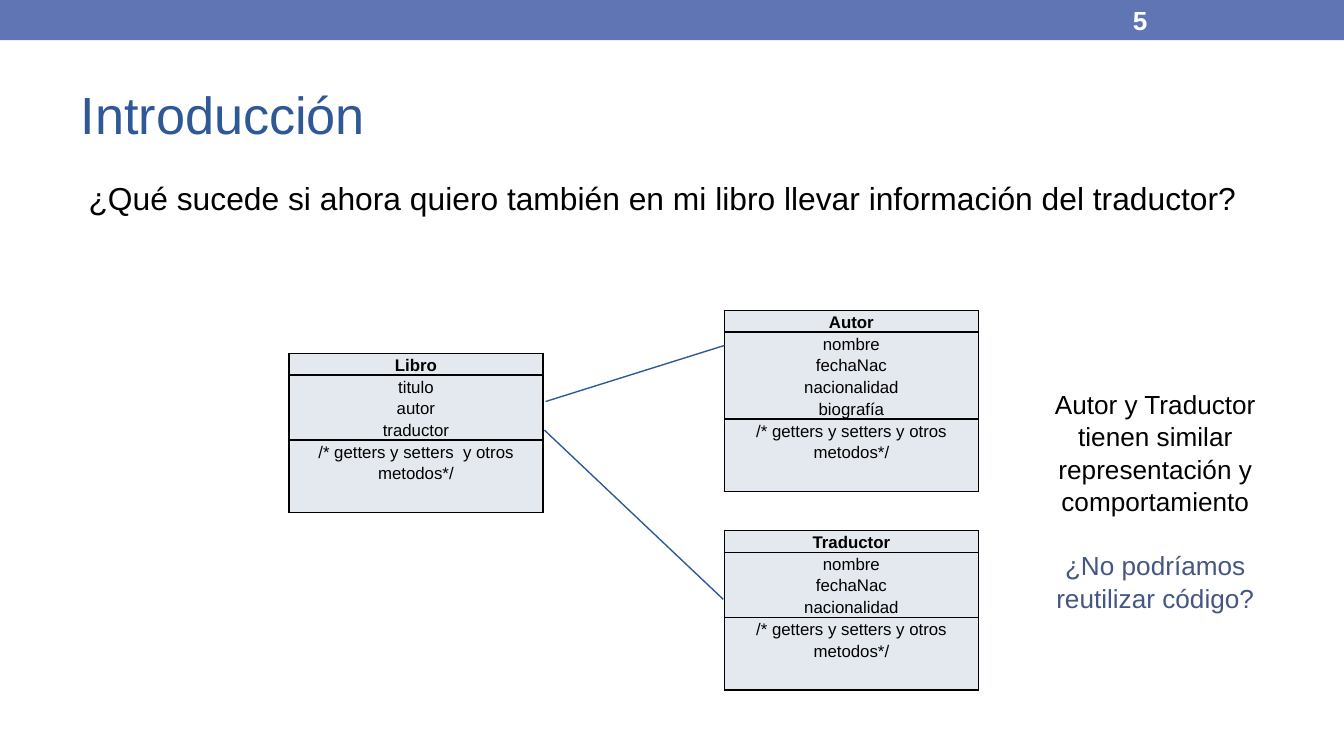
import dataclasses
import typing

import pptx
import pptx.dml.color
import pptx.enum.shapes
import pptx.enum.text
import pptx.oxml
import pptx.oxml.ns
import pptx.util

Cm = pptx.util.Cm
Pt = pptx.util.Pt
ALIGN = pptx.enum.text.PP_ALIGN
ANCHOR = pptx.enum.text.MSO_ANCHOR

COLORS = {
    "band": "6076B4",
    "accent": "2F5897",
    "question": "465683",
    "cell": "E4E9EF",
    "ink": "000000",
    "light": "FFFFFF",
}
CLASS_WIDTH = 4.8
HEADER_HEIGHT = 0.41
LINE_HEIGHT = 0.41
METHODS_HEIGHT = 1.37


@dataclasses.dataclass
class ClassBox:
    name: str
    attributes: list[str]
    methods: str
    left: float
    top: float


@dataclasses.dataclass
class Association:
    start: tuple[float, float]
    end: tuple[float, float]


@dataclasses.dataclass
class Line:
    text: str
    size: float
    color: str = "ink"
    bold: bool = False
    layout: dict[str, typing.Any] = dataclasses.field(default_factory=dict)


CLASSES = [
    ClassBox("Libro", ["titulo", "autor", "traductor"],
             "/* getters y setters  y otros metodos*/", 5.46, 6.68),
    ClassBox("Autor", ["nombre", "fechaNac", "nacionalidad", "biografía"],
             "/* getters y setters y otros metodos*/", 13.69, 5.87),
    ClassBox("Traductor", ["nombre", "fechaNac", "nacionalidad"],
             "/* getters y setters y otros metodos*/", 13.69, 10.03),
]
ASSOCIATIONS = [
    Association((10.31, 7.59), (13.69, 6.53)),
    Association((10.29, 8.13), (13.67, 11.33)),
]


def rgb(color: str) -> pptx.dml.color.RGBColor:
    return pptx.dml.color.RGBColor.from_string(COLORS[color])


def apply(target: typing.Any, formats: dict[str, typing.Any]) -> None:
    for attribute, value in formats.items():
        setattr(target, attribute, value)


def place(shape: typing.Any, left: float, top: float, width: float, height: float) -> None:
    apply(shape, {"left": Cm(left), "top": Cm(top), "width": Cm(width), "height": Cm(height)})


def write(frame: typing.Any, lines: list[Line]) -> None:
    for index, line in enumerate(lines):
        paragraph = frame.add_paragraph() if index else frame.paragraphs[0]
        apply(paragraph, line.layout)
        run = paragraph.add_run()
        run.text = line.text
        apply(run.font, {"name": "Arial", "size": Pt(line.size), "bold": line.bold})
        run.font.color.rgb = rgb(line.color)


def format_frame(frame: typing.Any, anchor: typing.Any) -> None:
    apply(frame, {
        "word_wrap": True,
        "auto_size": pptx.enum.text.MSO_AUTO_SIZE.NONE,
        "vertical_anchor": anchor,
    })


def remove_bullet(paragraph: typing.Any) -> None:
    properties = paragraph._p.get_or_add_pPr()
    properties.set("marL", "0")
    properties.set("indent", "0")
    pptx.oxml.ns.qn("a:buNone")
    properties.append(pptx.oxml.parse_xml(
        f'<a:buNone {pptx.oxml.ns.nsdecls("a")}/>'))


def outline_cell(cell: typing.Any) -> None:
    properties = cell._tc.get_or_add_tcPr()
    for index, side in enumerate(("lnL", "lnR", "lnT", "lnB")):
        properties.insert(index, pptx.oxml.parse_xml(
            f'<a:{side} {pptx.oxml.ns.nsdecls("a")} w="12700"><a:solidFill>'
            f'<a:srgbClr val="{COLORS["ink"]}"/></a:solidFill></a:{side}>'))


def draw_class(slide: typing.Any, box: ClassBox) -> None:
    heights = [HEADER_HEIGHT, LINE_HEIGHT * len(box.attributes), METHODS_HEIGHT]
    table = slide.shapes.add_table(
        3, 1, Cm(box.left), Cm(box.top), Cm(CLASS_WIDTH), Cm(sum(heights))).table
    apply(table, {"first_row": False, "horz_banding": False})
    centred = {"alignment": ALIGN.CENTER, "line_spacing": 1.15}
    sections = [[box.name], box.attributes, [box.methods]]
    for index, (height, section) in enumerate(zip(heights, sections)):
        table.rows[index].height = Cm(height)
        cell = table.cell(index, 0)
        apply(cell, {"margin_left": Cm(0.18), "margin_right": Cm(0.18),
                     "margin_top": 0, "margin_bottom": 0})
        cell.fill.solid()
        cell.fill.fore_color.rgb = rgb("cell")
        outline_cell(cell)
        write(cell.text_frame,
              [Line(text, 9, bold=index == 0, layout=centred) for text in section])


def draw_association(slide: typing.Any, association: Association) -> None:
    ends = [Cm(value) for value in association.start + association.end]
    connector = slide.shapes.add_connector(pptx.enum.shapes.MSO_CONNECTOR.STRAIGHT, *ends)
    connector.line.width = Pt(0.75)
    connector.line.color.rgb = rgb("accent")
    connector._element.spPr.append(pptx.oxml.parse_xml(
        f'<a:effectLst {pptx.oxml.ns.nsdecls("a")}/>'))


def main() -> None:
    deck = pptx.Presentation()
    apply(deck, {"slide_width": Cm(25.4), "slide_height": Cm(14.29)})
    slide = deck.slides.add_slide(deck.slide_layouts[1])

    band = slide.shapes.add_shape(
        pptx.enum.shapes.MSO_SHAPE.RECTANGLE, 0, 0, deck.slide_width, Cm(0.76))
    band.shadow.inherit = False
    band.fill.solid()
    band.fill.fore_color.rgb = rgb("band")
    band.line.fill.background()

    title = slide.shapes.title
    place(title, 1.27, 1.12, 22.86, 2.06)
    format_frame(title.text_frame, ANCHOR.MIDDLE)
    write(title.text_frame,
          [Line("Introducción", 28, "accent", layout={"alignment": ALIGN.LEFT})])

    page_number = slide.shapes.add_textbox(Cm(21.16), Cm(0.03), Cm(2.97), Cm(0.69))
    format_frame(page_number.text_frame, ANCHOR.MIDDLE)
    write(page_number.text_frame, [Line("5", 14, "light", bold=True)])

    question = slide.placeholders[1]
    place(question, 1.42, 3.25, 22.58, 2.06)
    format_frame(question.text_frame, ANCHOR.TOP)
    write(question.text_frame, [Line(
        "¿Qué sucede si ahora quiero también en mi libro llevar información del traductor?",
        17, layout={"space_before": Pt(3.6)})])
    remove_bullet(question.text_frame.paragraphs[0])

    for box in CLASSES:
        draw_class(slide, box)
    for association in ASSOCIATIONS:
        draw_association(slide, association)

    remark = slide.shapes.add_textbox(Cm(19.13), Cm(7.06), Cm(5.41), Cm(5.31))
    format_frame(remark.text_frame, ANCHOR.TOP)
    apply(remark.text_frame, {"margin_top": Cm(0.25), "margin_bottom": Cm(0.25)})
    centred = {"alignment": ALIGN.CENTER, "line_spacing": 1.04}
    write(remark.text_frame, [
        Line("Autor y Traductor tienen similar representación y comportamiento",
             14, layout=centred),
        Line("¿No podríamos reutilizar código?", 14, "question",
             layout={**centred, "space_before": Pt(16.8)}),
    ])

    deck.save("out.pptx")


if __name__ == "__main__":
    main()
